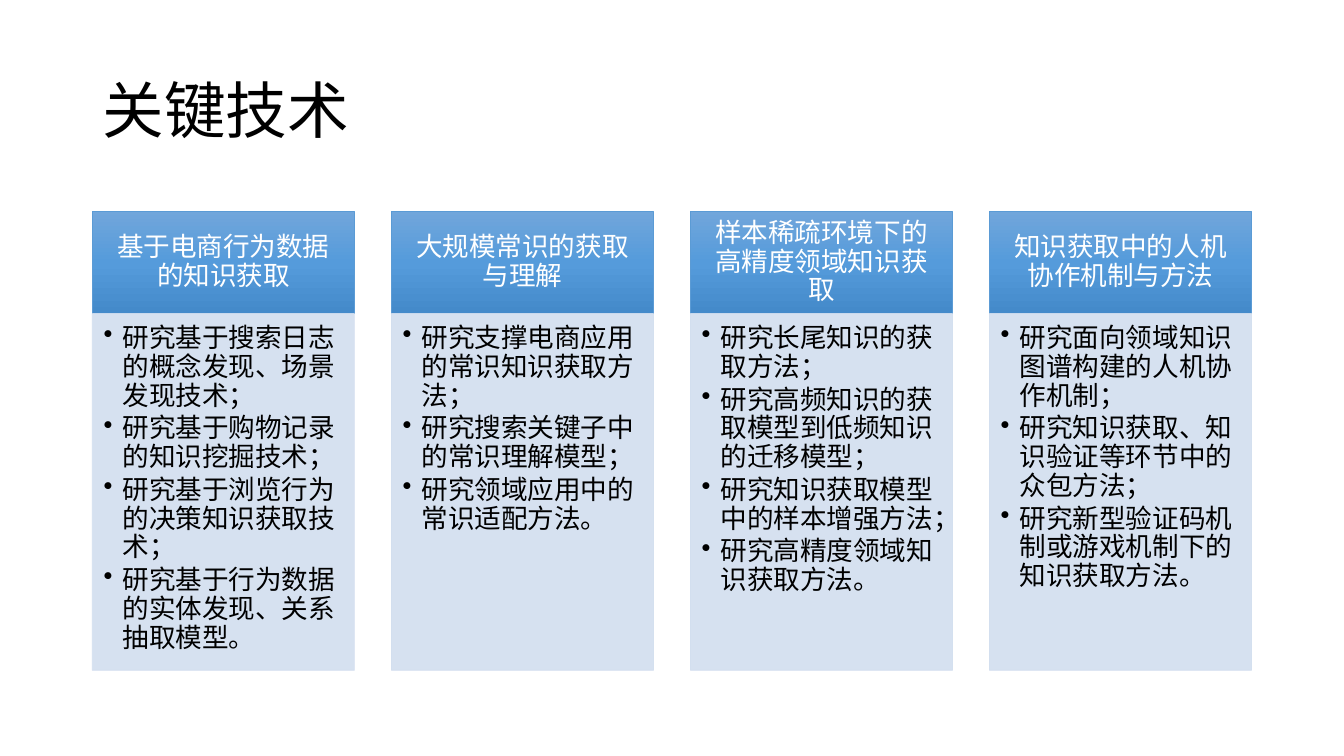
from copy import deepcopy

from pptx import Presentation
from pptx.dml.color import RGBColor
from pptx.enum.shapes import MSO_SHAPE
from pptx.enum.text import MSO_ANCHOR as ANCHOR, MSO_AUTO_SIZE, PP_ALIGN as ALIGN
from pptx.oxml.ns import qn
from pptx.util import Pt
from lxml.etree import SubElement

# Content
TITLE = "关键技术"
COLUMNS = [
    ("基于电商行为数据的知识获取", [
        "研究基于搜索日志的概念发现、场景发现技术；",
        "研究基于购物记录的知识挖掘技术；",
        "研究基于浏览行为的决策知识获取技术；",
        "研究基于行为数据的实体发现、关系抽取模型。",
    ]),
    ("大规模常识的获取与理解", [
        "研究支撑电商应用的常识知识获取方法；",
        "研究搜索关键子中的常识理解模型；",
        "研究领域应用中的常识适配方法。",
    ]),
    ("样本稀疏环境下的高精度领域知识获取", [
        "研究长尾知识的获取方法；",
        "研究高频知识的获取模型到低频知识的迁移模型；",
        "研究知识获取模型中的样本增强方法；",
        "研究高精度领域知识获取方法。",
    ]),
    ("知识获取中的人机协作机制与方法", [
        "研究面向领域知识图谱构建的人机协作机制；",
        "研究知识获取、知识验证等环节中的众包方法；",
        "研究新型验证码机制或游戏机制下的知识获取方法。",
    ]),
]

# Format and layout, in points
FONT = "Calibri"
GRADIENT = [(0, "71A6DB"), (0.5, "559BDB"), (1, "448ACA")]
HEAD_LINE, BODY_FILL = "5B9BD5", "D2DEEF"
BODY_ALPHA = 90
LEFT, SPAN, COL_W = 66, 828, 187.2
HEAD_TOP, HEAD_H, BODY_H = 151, 73, 254.8
INDENT = 13.7
PITCH = (SPAN - COL_W) / (len(COLUMNS) - 1)
HEAD_FRAME = dict(vertical_anchor=ANCHOR.MIDDLE, margin_left=Pt(10.6), margin_top=Pt(6),
                  margin_right=Pt(10.6), margin_bottom=Pt(6))
BODY_FRAME = dict(vertical_anchor=ANCHOR.TOP, margin_left=Pt(8), margin_top=Pt(8),
                  margin_right=Pt(10.6), margin_bottom=Pt(12))
HEAD_PARA = dict(alignment=ALIGN.CENTER, line_spacing=0.9)
BODY_PARA = dict(alignment=ALIGN.LEFT, line_spacing=0.9, space_after=Pt(2.85))


def rgb(value):
    return RGBColor.from_string(value)


def set_attrs(obj, values):
    for name, value in values.items():
        setattr(obj, name, value)


def add_bullet(p):
    pPr = p._p.get_or_add_pPr()
    pPr.set("marL", str(Pt(INDENT)))
    pPr.set("indent", str(-Pt(INDENT)))
    SubElement(pPr, qn("a:buChar")).set("char", "•")


def write(tf, lines, size, color, frame, para, bullets=False):
    tf.word_wrap = True
    set_attrs(tf, frame)
    for i, line in enumerate(lines):
        p = tf.add_paragraph() if i else tf.paragraphs[0]
        if bullets:
            add_bullet(p)
        set_attrs(p, para)
        r = p.add_run()
        r.text = line
        set_attrs(r.font, dict(name=FONT, size=Pt(size)))
        r.font.color.rgb = rgb(color)


def add_box(slide, x, y, h, line):
    sp = slide.shapes.add_shape(MSO_SHAPE.RECTANGLE, Pt(x), Pt(y), Pt(COL_W), Pt(h))
    sp.shadow.inherit = False
    sp.line.color.rgb = rgb(line)
    sp.line.width = Pt(0.5)
    return sp


def fill_gradient(sp):
    sp.fill.gradient()
    sp.fill.gradient_angle = 270
    stops = sp._element.spPr.find(".//" + qn("a:gsLst"))
    stops.append(deepcopy(stops[-1]))
    for stop, (position, color) in zip(sp.fill.gradient_stops, GRADIENT):
        stop.position = position
        stop.color.rgb = rgb(color)


def fill_transparent(sp):
    sp.fill.solid()
    sp.fill.fore_color.rgb = rgb(BODY_FILL)
    for clr in sp._element.spPr.iter(qn("a:srgbClr")):
        SubElement(clr, qn("a:alpha")).set("val", str(BODY_ALPHA * 1000))


prs = Presentation()
prs.slide_width, prs.slide_height = Pt(960), Pt(540)
slide = prs.slides.add_slide(prs.slide_layouts[5])

# Title
title = slide.shapes.title
set_attrs(title, dict(left=Pt(LEFT), top=Pt(28.75), width=Pt(SPAN), height=Pt(104.4)))
write(title.text_frame, [TITLE], 44, "000000",
      dict(vertical_anchor=ANCHOR.MIDDLE, auto_size=MSO_AUTO_SIZE.NONE),
      dict(alignment=ALIGN.LEFT, line_spacing=0.9))

# Columns: a header over a bulleted list
for i, (heading, points) in enumerate(COLUMNS):
    x = LEFT + i * PITCH
    head = add_box(slide, x, HEAD_TOP, HEAD_H, HEAD_LINE)
    fill_gradient(head)
    write(head.text_frame, [heading], 19, "FFFFFF", HEAD_FRAME, HEAD_PARA)

    body = add_box(slide, x, HEAD_TOP + HEAD_H, BODY_H, BODY_FILL)
    fill_transparent(body)
    write(body.text_frame, points, 19, "000000", BODY_FRAME, BODY_PARA, bullets=True)

prs.save("out.pptx")
